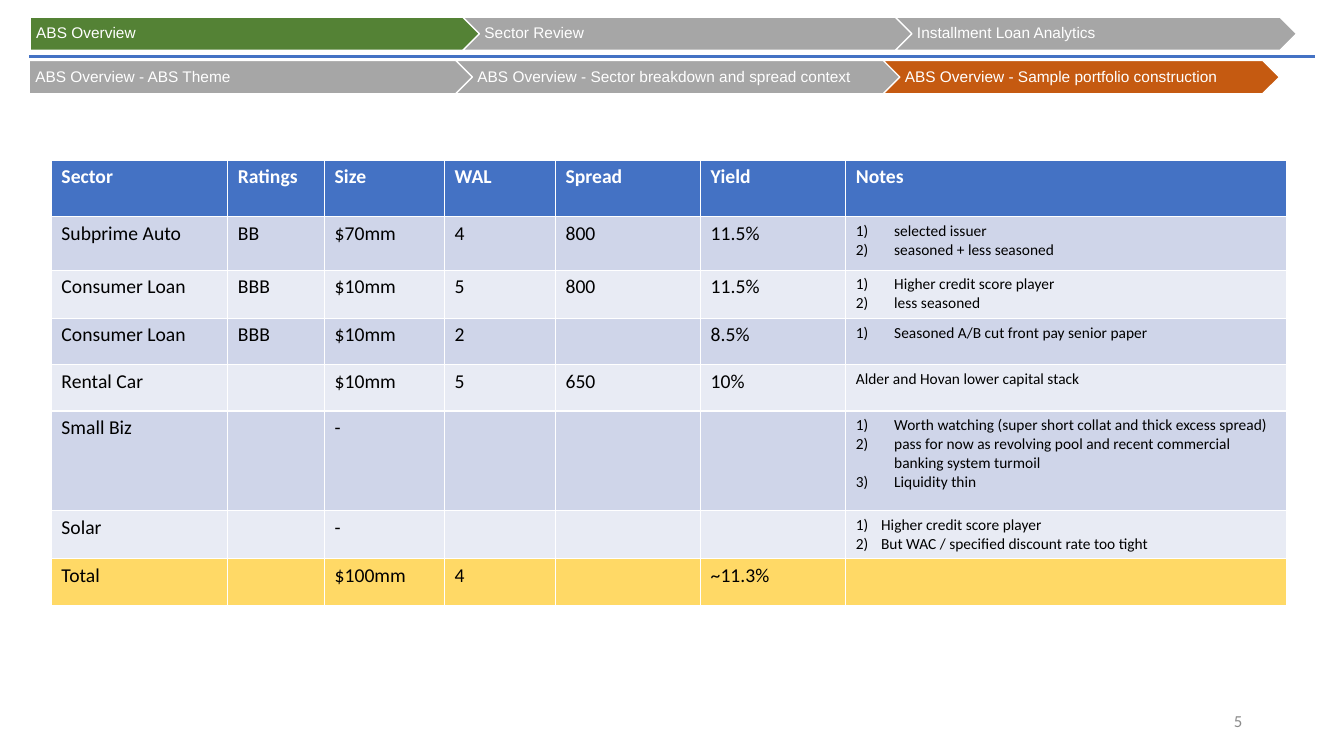
from lxml import etree
from pptx import Presentation
from pptx.dml.color import RGBColor
from pptx.enum.shapes import MSO_CONNECTOR, MSO_SHAPE
from pptx.enum.text import MSO_ANCHOR, PP_ALIGN
from pptx.oxml.ns import qn
from pptx.util import Inches, Pt

STRAIGHT = MSO_CONNECTOR.STRAIGHT
PENTAGON, CHEVRON = MSO_SHAPE.PENTAGON, MSO_SHAPE.CHEVRON
MIDDLE = MSO_ANCHOR.MIDDLE
LEFT, RIGHT = PP_ALIGN.LEFT, PP_ALIGN.RIGHT

COLORS = {
    "white": "FFFFFF", "black": "000000", "blue": "4472C4", "green": "548235",
    "gray": "A6A6A6", "orange": "C55A11", "number": "8B8B8B",
    "dark_band": "CFD5E9", "light_band": "E8EBF4", "total": "FFD966",
}

# Each step: label, left, width, color
SECTIONS = [
    ("ABS Overview", 0.3, 4.96, "green"),
    ("Sector Review", 4.59, 4.97, "gray"),
    ("Installment Loan Analytics", 8.88, 3.98, "gray"),
]
TOPICS = [
    ("ABS Overview - ABS Theme", 0.29, 4.89, "gray"),
    ("ABS Overview - Sector breakdown and spread context", 4.52, 4.91, "gray"),
    ("ABS Overview - Sample portfolio construction", 8.76, 3.93, "orange"),
]

COLUMN_WIDTHS = [1.75, 0.96, 1.19, 1.1, 1.44, 1.44, 4.37]
ROW_HEIGHTS = [0.56, 0.53, 0.46, 0.46, 0.46, 0.99, 0.46, 0.46]
HEADERS = ["Sector", "Ratings", "Size", "WAL", "Spread", "Yield", "Notes"]
# Each holding: cell texts, notes, indent of the numbered notes (0 for plain)
HOLDINGS = [
    (["Subprime Auto", "BB", "$70mm", "4", "800", "11.5%"],
     ["selected issuer", "seasoned + less seasoned"], 0.38),
    (["Consumer Loan", "BBB", "$10mm", "5", "800", "11.5%"],
     ["Higher credit score player", "less seasoned"], 0.38),
    (["Consumer Loan", "BBB", "$10mm", "2", "", "8.5%"],
     ["Seasoned A/B cut front pay senior paper"], 0.38),
    (["Rental Car", "", "$10mm", "5", "650", "10%"],
     ["Alder and Hovan lower capital stack"], 0),
    (["Small Biz", "", "-", "", "", ""],
     ["Worth watching (super short collat and thick excess spread)",
      "pass for now as revolving pool and recent commercial banking system turmoil",
      "Liquidity thin"], 0.38),
    (["Solar", "", "-", "", "", ""],
     ["Higher credit score player", "But WAC / specified discount rate too tight"], 0.25),
    (["Total", "", "$100mm", "4", "", "~11.3%"], [""], 0),
]


def color(name):
    return RGBColor.from_string(COLORS[name])


def style_font(font, name, size, color_name, bold=False):
    font.name = name
    font.size = Pt(size)
    font.bold = bold
    font.color.rgb = color(color_name)


def add_rule(page):
    rule = page.shapes.add_connector(
        STRAIGHT, Inches(0.29), Inches(0.56), Inches(13.04), Inches(0.56))
    rule.line.color.rgb = color("blue")
    rule.line.width = Pt(2.25)
    etree.SubElement(rule._element.spPr, qn("a:effectLst"))


def add_step_bar(page, steps, top):
    bar = page.shapes.add_group_shape()
    for index, (label, left, width, fill) in enumerate(steps):
        step = bar.shapes.add_shape(
            CHEVRON if index else PENTAGON,
            Inches(left), Inches(top), Inches(width), Inches(0.33))
        step.shadow.inherit = False
        step.fill.solid()
        step.fill.fore_color.rgb = color(fill)
        step.line.color.rgb = color("white")
        step.line.width = Pt(1)
        frame = step.text_frame
        frame.word_wrap = True
        frame.vertical_anchor = MIDDLE
        frame.margin_left = Inches(0.05 if index else 0.06)
        frame.margin_right = Inches(0.02)
        frame.margin_top = frame.margin_bottom = Inches(0.03)
        frame.text = label
        para = frame.paragraphs[0]
        para.alignment = LEFT
        para.line_spacing = 0.9
        style_font(para.runs[0].font, "Arial", 11, "white")


def number_paragraph(para, indent):
    properties = para._p.get_or_add_pPr()
    properties.set("marL", str(Inches(indent)))
    properties.set("indent", str(-Inches(indent)))
    etree.SubElement(properties, qn("a:buFont"), typeface="+mj-lt")
    etree.SubElement(properties, qn("a:buAutoNum"), type="arabicParenR")


def fill_cell(cell, lines, fill, size=14, text_color="black", bold=False, indent=0):
    cell.fill.solid()
    cell.fill.fore_color.rgb = color(fill)
    cell.text_frame.text = "\n".join(lines)
    for para in cell.text_frame.paragraphs:
        if indent:
            number_paragraph(para, indent)
        for span in para.runs:
            style_font(span.font, "Calibri", size, text_color, bold)


def add_portfolio_table(page):
    table = page.shapes.add_table(
        len(ROW_HEIGHTS), len(COLUMN_WIDTHS), Inches(0.51), Inches(1.59),
        Inches(sum(COLUMN_WIDTHS)), Inches(sum(ROW_HEIGHTS))).table
    for column, width in zip(table.columns, COLUMN_WIDTHS):
        column.width = Inches(width)
    for row, height in zip(table.rows, ROW_HEIGHTS):
        row.height = Inches(height)

    for column, header in enumerate(HEADERS):
        fill_cell(table.cell(0, column), [header], "blue", 14, "white", True)

    for row, (texts, notes, indent) in enumerate(HOLDINGS, start=1):
        fill = "dark_band" if row % 2 else "light_band"
        if row == len(HOLDINGS):
            fill = "total"
        for column, text in enumerate(texts):
            fill_cell(table.cell(row, column), [text], fill)
        fill_cell(table.cell(row, len(texts)), notes, fill, 11, indent=indent)


def add_page_number(page, number):
    box = page.shapes.add_textbox(Inches(9.42), Inches(6.95), Inches(3), Inches(0.4))
    frame = box.text_frame
    frame.word_wrap = True
    frame.vertical_anchor = MIDDLE
    frame.text = number
    para = frame.paragraphs[0]
    para.alignment = RIGHT
    style_font(para.runs[0].font, "Calibri", 12, "number")


def main():
    deck = Presentation()
    deck.slide_width, deck.slide_height = Inches(13.33), Inches(7.5)
    page = deck.slides.add_slide(deck.slide_layouts[6])

    # Navigation
    add_rule(page)
    add_step_bar(page, SECTIONS, 0.17)
    add_step_bar(page, TOPICS, 0.6)

    # Content and footer
    add_portfolio_table(page)
    add_page_number(page, "5")
    deck.save("out.pptx")


if __name__ == "__main__":
    main()
